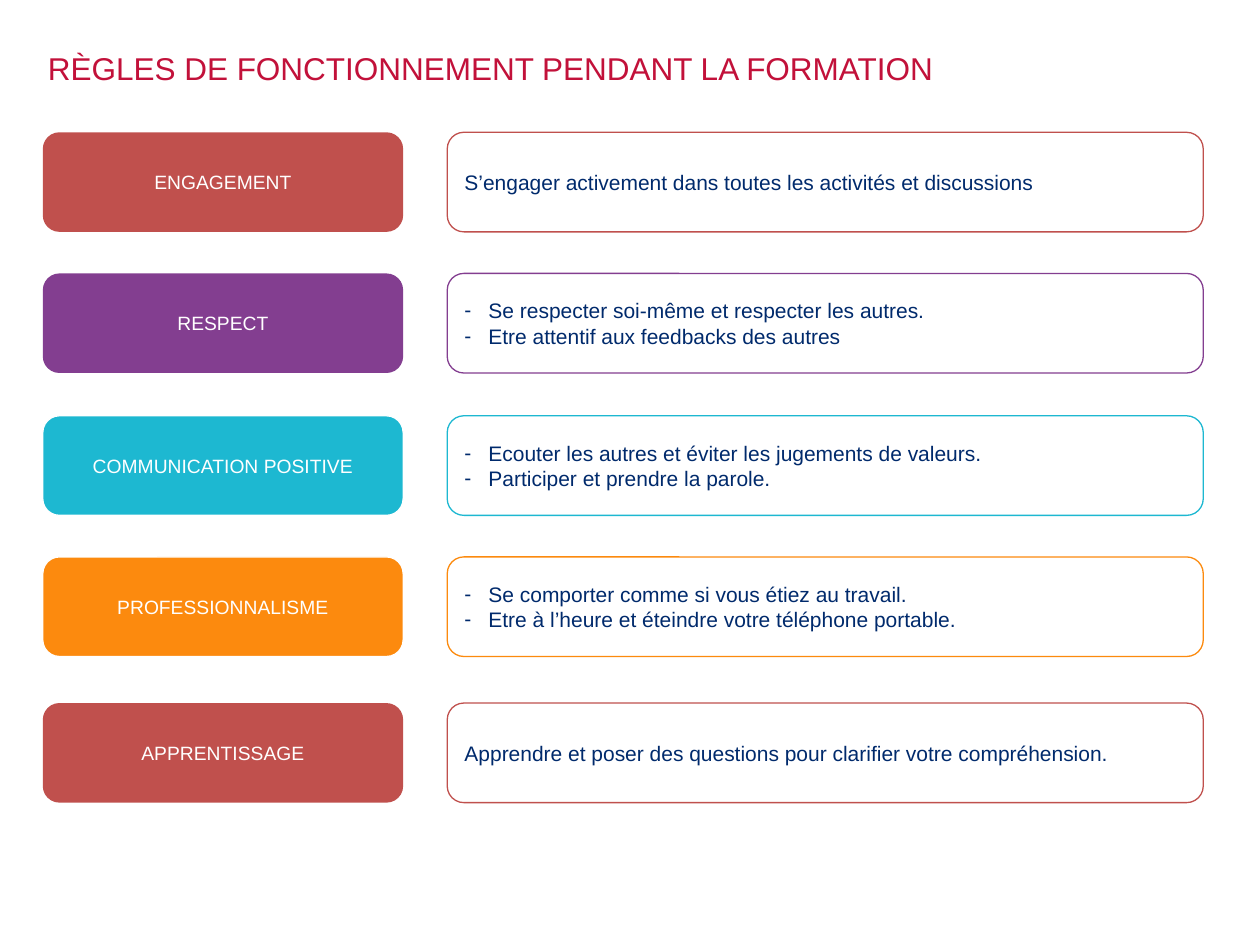
"""Build a slide listing the ground rules of a training course."""
from lxml.etree import SubElement
from pptx import Presentation
from pptx.dml.color import RGBColor
from pptx.enum.shapes import MSO_SHAPE
from pptx.enum.text import MSO_ANCHOR, MSO_AUTO_SIZE, PP_ALIGN
from pptx.oxml.ns import qn
from pptx.util import Inches, Pt

CRIMSON = RGBColor(0xC2, 0x11, 0x3A)
NAVY = RGBColor(0x00, 0x2A, 0x6C)
WHITE = RGBColor(0xFF, 0xFF, 0xFF)
RED = RGBColor(0xC0, 0x50, 0x4D)
PURPLE = RGBColor(0x83, 0x3E, 0x90)
TEAL = RGBColor(0x1D, 0xB8, 0xD1)
ORANGE = RGBColor(0xFC, 0x8A, 0x0E)

LABEL_LEFT, LABEL_WIDTH = 0.34, 2.86
RULE_LEFT, RULE_WIDTH = 3.55, 6
ROW_HEIGHT = 0.79
INDENT = Inches(0.19)

RULES = [
    (1.05, RED, "ENGAGEMENT",
     ["S’engager activement dans toutes les activités et discussions"]),
    (2.17, PURPLE, "RESPECT",
     ["Se respecter soi-même et respecter les autres.",
      "Etre attentif aux feedbacks des autres"]),
    (3.3, TEAL, "COMMUNICATION POSITIVE",
     ["Ecouter les autres et éviter les jugements de valeurs.",
      "Participer et prendre la parole."]),
    (4.42, ORANGE, "PROFESSIONNALISME",
     ["Se comporter comme si vous étiez au travail.",
      "Etre à l’heure et éteindre votre téléphone portable."]),
    (5.58, RED, "APPRENTISSAGE",
     ["Apprendre et poser des questions pour clarifier votre compréhension."]),
]


def format_paragraph(para, size, color, align=PP_ALIGN.LEFT):
    para.alignment = align
    para.font.name = "Arial"
    para.font.size = Pt(size)
    para.font.color.rgb = color


def add_box(page, left, top, width, lines):
    box = page.shapes.add_shape(MSO_SHAPE.ROUNDED_RECTANGLE, Inches(left), Inches(top),
                                Inches(width), Inches(ROW_HEIGHT))
    box.shadow.inherit = False
    box.text_frame.word_wrap = True
    box.text_frame.vertical_anchor = MSO_ANCHOR.MIDDLE
    box.text_frame.text = "\n".join(lines)
    return box


deck = Presentation()
deck.slide_width, deck.slide_height = Inches(10), Inches(7.5)
page = deck.slides.add_slide(deck.slide_layouts.get_by_name("Title Only"))

title = page.shapes.title
title.left, title.top = Inches(0.28), Inches(0.34)
title.width, title.height = Inches(8.03), Inches(0.71)
title.text_frame.text = "RÈGLES DE FONCTIONNEMENT PENDANT LA FORMATION"
title.text_frame.auto_size = MSO_AUTO_SIZE.NONE
title.text_frame.vertical_anchor = MSO_ANCHOR.TOP
format_paragraph(title.text_frame.paragraphs[0], 18, CRIMSON)

for top, color, name, lines in RULES:
    label = add_box(page, LABEL_LEFT, top, LABEL_WIDTH, [name])
    label.fill.solid()
    label.fill.fore_color.rgb = color
    if color in (TEAL, ORANGE):
        label.line.color.rgb = WHITE
        label.line.width = Pt(0.75)
    else:
        label.line.fill.background()
    format_paragraph(label.text_frame.paragraphs[0], 11, WHITE, PP_ALIGN.CENTER)

    rule = add_box(page, RULE_LEFT, top, RULE_WIDTH, lines)
    rule.fill.background()
    rule.line.color.rgb = color
    rule.line.width = Pt(0.75)
    for para in rule.text_frame.paragraphs:
        if len(lines) > 1:
            properties = para._p.get_or_add_pPr()
            properties.set("marL", str(INDENT))
            properties.set("indent", str(-INDENT))
            bullet_color = SubElement(properties, qn("a:buClr"))
            SubElement(bullet_color, qn("a:srgbClr"), val=str(NAVY))
            SubElement(properties, qn("a:buFont"), typeface="Arial")
            SubElement(properties, qn("a:buChar"), char="-")
        format_paragraph(para, 12, NAVY)

deck.save("out.pptx")
